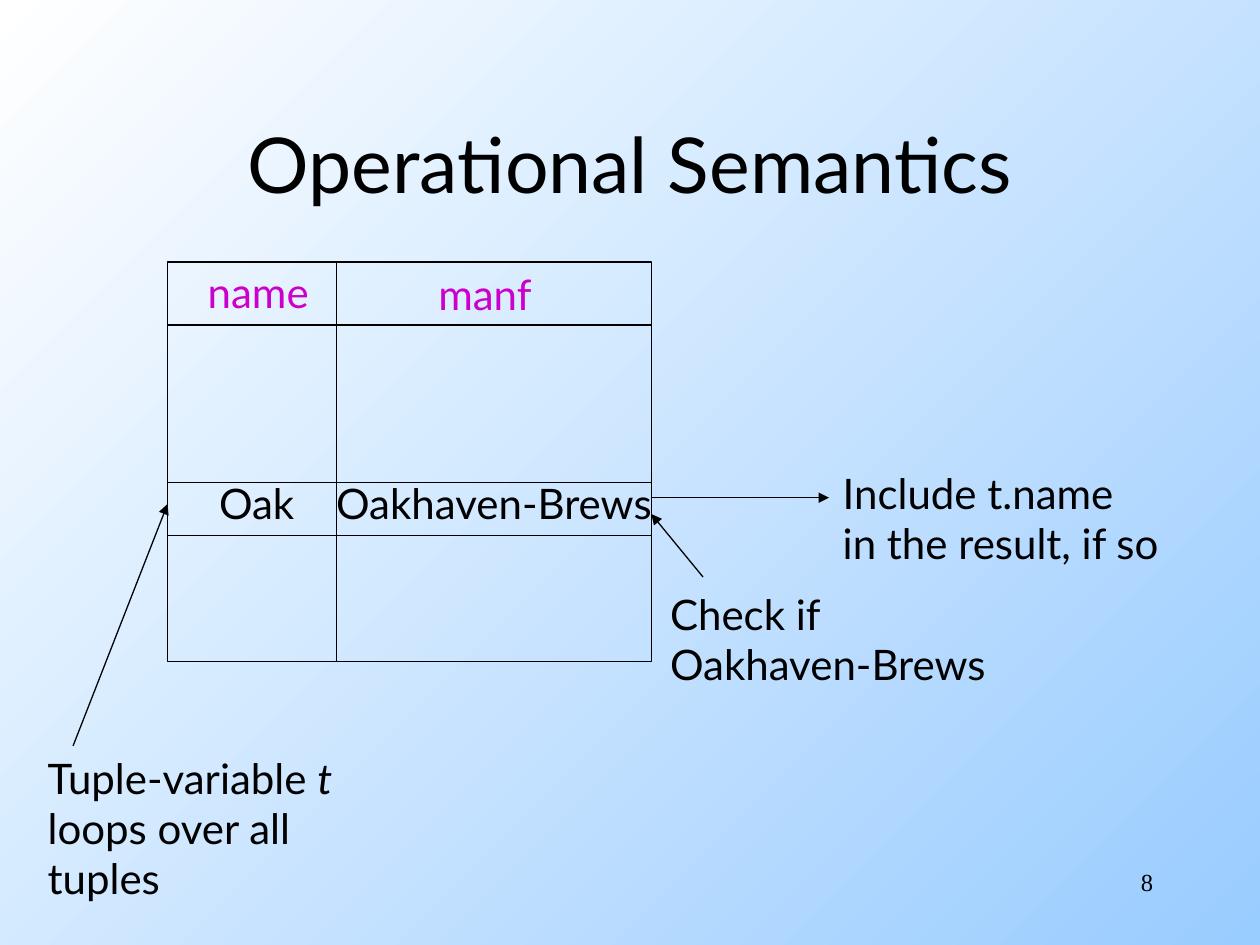
"""Build the Operational Semantics slide: a relation grid with annotated arrows."""
from lxml import etree
from pptx import Presentation
from pptx.dml.color import RGBColor
from pptx.enum import shapes, text
from pptx.oxml.ns import qn
from pptx.util import Inches, Pt

COLORS = {"ink": "000000", "header": "CC00CC", "sky_start": "FFFFFF", "sky_end": "99CCFF"}
FONT = "Lato"

TITLE = "Operational Semantics"
PAGE_NUMBER = "8"
GRID = {"left": 1.33, "top": 2.08, "right": 5.17, "bottom": 5.25}
ROW_LINES = [2.58, 3.83, 4.25]
COLUMN_LINES = [2.67]

LABELS = [
    ((1.55, 2.07, 1.09, 0.5), "header", [["name"]]),
    ((3.38, 2.08, 1.02, 0.5), "header", [["manf"]]),
    ((1.64, 3.74, 0.83, 0.5), "ink", [["Oak"]]),
    ((2.57, 3.74, 2.76, 0.5), "ink", [["Oakhaven-Brews"]]),
    ((5.22, 4.62, 2.76, 0.9), "ink", [["Check if"], ["Oakhaven-Brews"]]),
    ((6.59, 3.66, 2.9, 0.9), "ink", [["Include t.name"], ["in the result, if so"]]),
    ((0.28, 5.92, 2.62, 1.3), "ink",
     [["Tuple-variable ", ("t", "italic")], ["loops over all"], ["tuples"]]),
]
ARROWS = [
    ((5.58, 4.58), (5.17, 4.08)),
    ((5.17, 3.95), (6.58, 3.95)),
    ((0.58, 5.92), (1.33, 4)),
]


def rgb(name):
    return RGBColor.from_string(COLORS[name])


def add_span(para, words, size, color="ink", font=FONT, italic=None):
    span = para.add_run()
    span.text = words
    span.font.size = Pt(size)
    span.font.name = font
    span.font.italic = italic
    span.font.color.rgb = rgb(color)


def place(shape, bounds):
    shape.left, shape.top, shape.width, shape.height = map(Inches, bounds)


def paint_background(page):
    fill = page.background.fill
    fill.gradient()
    fill.gradient_angle = 315
    for stop, name, position in zip(fill.gradient_stops, ("sky_start", "sky_end"), (0, 1)):
        stop.color.rgb = rgb(name)
        stop.position = position


def add_title(page):
    title = page.shapes.title
    place(title, (0.75, 0.67, 8.5, 1.25))
    title.text_frame.vertical_anchor = text.MSO_ANCHOR.MIDDLE
    para = title.text_frame.paragraphs[0]
    para.alignment = text.PP_ALIGN.CENTER
    add_span(para, TITLE, 44)


def add_line(page, start, end, arrow=False):
    line = page.shapes.add_connector(
        shapes.MSO_CONNECTOR.STRAIGHT, *map(Inches, (*start, *end)))
    line.line.color.rgb = rgb("ink")
    line.line.width = Pt(0.75)
    if arrow:
        outline = line.line._get_or_add_ln()
        etree.SubElement(outline, qn("a:tailEnd"), type="triangle")
    etree.SubElement(line._element.spPr, qn("a:effectLst"))


def add_grid(page):
    left, top, right, bottom = GRID.values()
    frame = page.shapes.add_shape(
        shapes.MSO_SHAPE.RECTANGLE, *map(Inches, (left, top, right - left, bottom - top)))
    frame.shadow.inherit = False
    frame.fill.background()
    frame.line.color.rgb = rgb("ink")
    frame.line.width = Pt(0.75)
    for y in ROW_LINES:
        add_line(page, (left, y), (right, y))
    for x in COLUMN_LINES:
        add_line(page, (x, top), (x, bottom))


def add_label(page, bounds, color, lines):
    box = page.shapes.add_textbox(*map(Inches, bounds))
    frame = box.text_frame
    frame.word_wrap = False
    frame.auto_size = text.MSO_AUTO_SIZE.SHAPE_TO_FIT_TEXT
    for index, spans in enumerate(lines):
        para = frame.add_paragraph() if index else frame.paragraphs[0]
        for item in spans:
            if isinstance(item, tuple):
                add_span(para, item[0], 24, color, italic=True)
            else:
                add_span(para, item, 24, color)


def add_page_number(page):
    box = page.shapes.add_textbox(*map(Inches, (7.17, 6.83, 2.08, 0.5)))
    box.text_frame.word_wrap = True
    para = box.text_frame.paragraphs[0]
    para.alignment = text.PP_ALIGN.RIGHT
    add_span(para, PAGE_NUMBER, 14, font="Times New Roman")


def main():
    deck = Presentation()
    deck.slide_width, deck.slide_height = Inches(10), Inches(7.5)
    page = deck.slides.add_slide(deck.slide_layouts.get_by_name("Title Only"))
    paint_background(page)
    add_page_number(page)
    add_title(page)
    add_grid(page)
    for bounds, color, lines in LABELS:
        add_label(page, bounds, color, lines)
    for start, end in ARROWS:
        add_line(page, start, end, arrow=True)
    deck.save("out.pptx")


if __name__ == "__main__":
    main()
